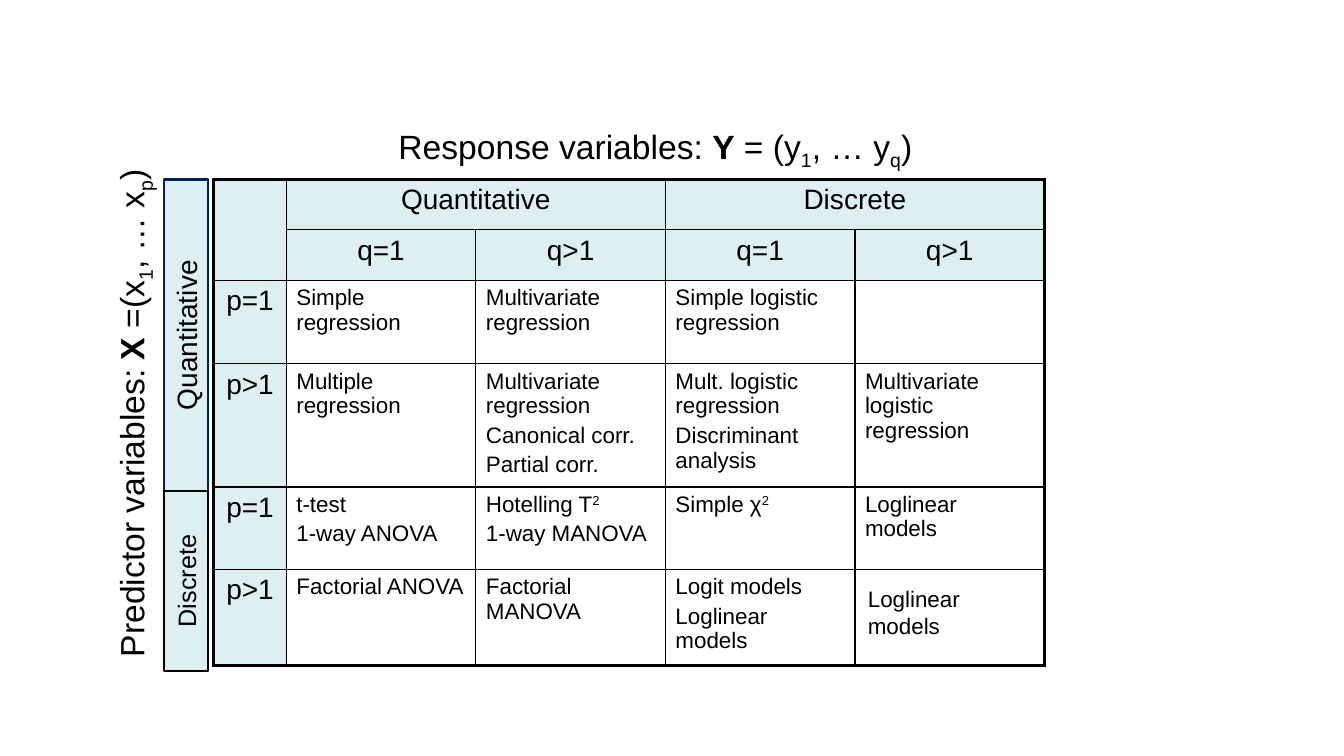
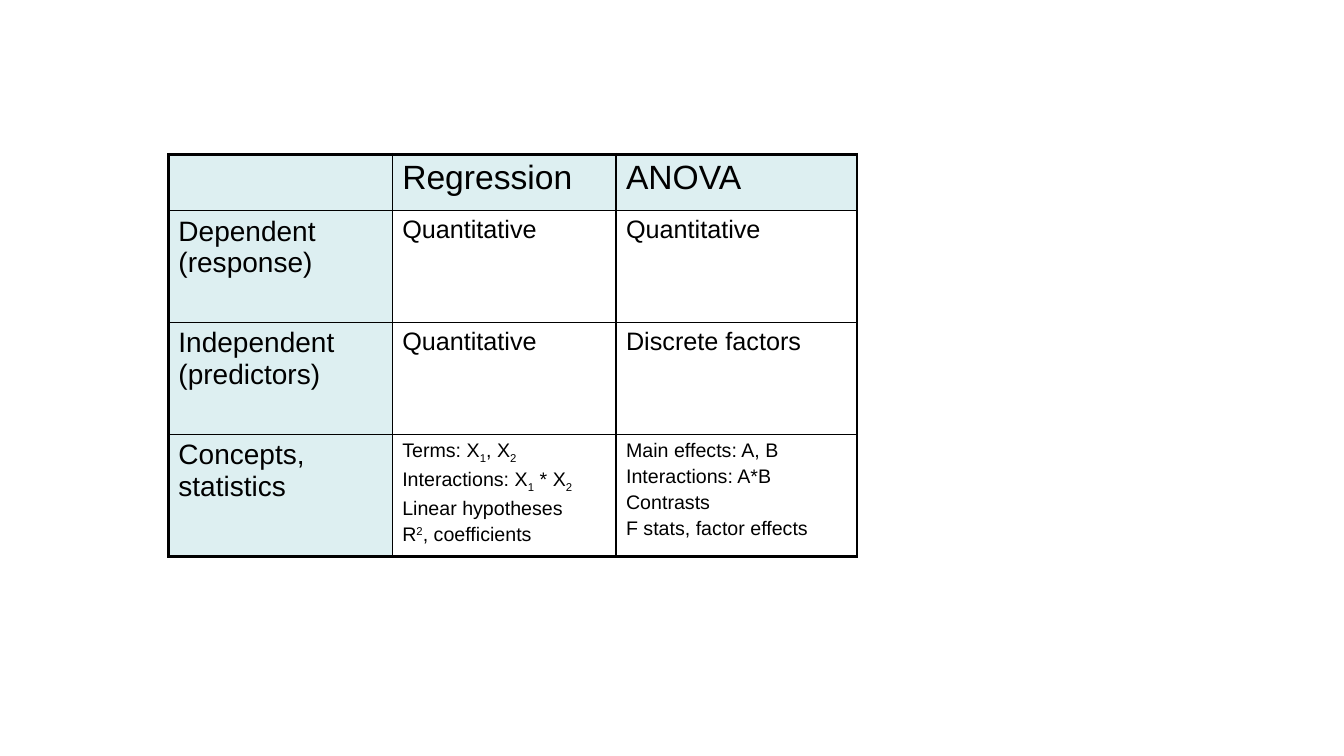
"""Build two slides that compare statistical models by variable type."""
import pptx
import pptx.dml.color
import pptx.enum.shapes
import pptx.enum.text
import pptx.oxml
import pptx.oxml.ns
import pptx.util

Inches = pptx.util.Inches
Pt = pptx.util.Pt
Align = pptx.enum.text.PP_ALIGN

FONT = "Arial"
BLACK = "000000"
NAVY = "002060"
TINT = "DDEFF1"
OUTER, MIDDLE, INNER = 2.25, 1.5, 1
BASELINES = {"sub": "-25000", "super": "30000"}


def color(value):
    """Turn a hex string into a colour."""
    return pptx.dml.color.RGBColor.from_string(value)


def write(frame, lines, size, align=Align.LEFT):
    """Fill a text frame; a line is a string or a list of strings and (text, style) runs."""
    for index, line in enumerate(lines):
        para = frame.paragraphs[0] if index == 0 else frame.add_paragraph()
        para.alignment = align
        if index:
            para.space_before = Pt(size * 0.2)
        for part in [line] if isinstance(line, str) else line:
            text, style = (part, "") if isinstance(part, str) else part
            span = para.add_run()
            span.text = text
            span.font.name = FONT
            span.font.size = Pt(size)
            span.font.bold = style == "bold"
            span.font.color.rgb = color(BLACK)
            if style in BASELINES:
                span.font._element.set("baseline", BASELINES[style])


def add_label(slide, place, lines, size, align=Align.CENTER, rotation=0, wrap=False):
    """Add a text box."""
    box = slide.shapes.add_textbox(*map(Inches, place))
    box.rotation = rotation
    box.text_frame.word_wrap = wrap
    write(box.text_frame, lines, size, align)


def add_band(slide, place, text, size, line):
    """Add a tinted rectangle whose text reads upwards."""
    kind = pptx.enum.shapes.MSO_SHAPE.RECTANGLE
    band = slide.shapes.add_shape(kind, *map(Inches, place))
    band.rotation = 270
    band.shadow.inherit = False
    band.fill.solid()
    band.fill.fore_color.rgb = color(TINT)
    band.line.color.rgb = color(line)
    band.line.width = Pt(MIDDLE)
    band.text_frame.word_wrap = True
    write(band.text_frame, [text], size, Align.CENTER)


def set_borders(cell, widths):
    """Draw the left, right, top and bottom borders of a cell."""
    properties = cell._tc.get_or_add_tcPr()
    namespace = pptx.oxml.ns.nsdecls("a")
    for index, (side, width) in enumerate(zip("LRTB", widths)):
        properties.insert(index, pptx.oxml.parse_xml(
            f'<a:ln{side} {namespace} w="{Pt(width)}"><a:solidFill>'
            f'<a:srgbClr val="{BLACK}"/></a:solidFill></a:ln{side}>'))


def add_grid(slide, corner, columns, rows, headers, merges=(), thick_column=None, thick_row=None):
    """Add an empty bordered table with tinted header rows and first column."""
    size = (sum(columns), sum(rows))
    frame = slide.shapes.add_table(len(rows), len(columns), *map(Inches, corner + size))
    table = frame.table
    table.first_row = table.horz_banding = False
    for column, width in zip(table.columns, columns):
        column.width = Inches(width)
    for row, height in zip(table.rows, rows):
        row.height = Inches(height)
    for first, last in merges:
        table.cell(*first).merge(table.cell(*last))

    def edge(index, count, thick):
        return OUTER if index in (0, count) else MIDDLE if index == thick else INNER

    for r in range(len(rows)):
        for c in range(len(columns)):
            cell = table.cell(r, c)
            if cell.is_spanned:
                continue
            if r < headers or c == 0:
                cell.fill.solid()
                cell.fill.fore_color.rgb = color(TINT)
            else:
                cell.fill.background()
            right = c + (cell.span_width if cell.is_merge_origin else 1)
            bottom = r + (cell.span_height if cell.is_merge_origin else 1)
            set_borders(cell, [edge(i, len(columns), thick_column) for i in (c, right)]
                        + [edge(i, len(rows), thick_row) for i in (r, bottom)])
    return table


def fill_rows(table, start, rows, size, align=Align.LEFT):
    """Write rows of cells, each a list of lines, from a starting cell."""
    for r, row in enumerate(rows, start[0]):
        for c, lines in enumerate(row, start[1]):
            if lines:
                write(table.cell(r, c).text_frame, lines, size, align)


def variables(intro, name, opening, letter, last):
    """Compose the runs that define a vector of variables."""
    return [intro, (name, "bold"), f"{opening}({letter}", ("1", "sub"),
            f", … {letter}", (last, "sub"), ")"]


def build_model_slide(slide):
    """Lay out the models by predictor and response type."""
    table = add_grid(slide, (2.12, 1.78), [0.72] + [1.88] * 4,
                     [0.5, 0.5, 0.83, 1.22, 0.82, 0.95], 2,
                     [((0, 0), (1, 0)), ((0, 1), (0, 2)), ((0, 3), (0, 4))], 3, 4)
    fill_rows(table, (0, 1), [
        [["Quantitative"], [], ["Discrete"], []],
        [["q=1"], ["q>1"]] * 2], 20, Align.CENTER)
    fill_rows(table, (2, 0), [[["p=1"]], [["p>1"]]] * 2, 20, Align.CENTER)
    fill_rows(table, (2, 1), [
        [["Simple regression"], ["Multivariate regression"],
         ["Simple logistic regression"], []],
        [["Multiple regression"],
         ["Multivariate regression", "Canonical corr.", "Partial corr."],
         ["Mult. logistic regression", "Discriminant analysis"],
         ["Multivariate logistic regression"]],
        [["t-test", "1-way ANOVA"],
         [["Hotelling T", ("2", "super")], "1-way MANOVA"],
         [["Simple χ", ("2", "super")]], ["Loglinear models"]],
        [["Factorial ANOVA"], ["Factorial MANOVA"],
         ["Logit models", "Loglinear models"], []]], 16)
    add_band(slide, (0.3, 3.11, 3.09, 0.43), "Quantitative", 20, NAVY)
    add_band(slide, (0.95, 5.55, 1.79, 0.43), "Discrete", 18, BLACK)
    add_label(slide, (-1.26, 3.85, 5.12, 0.5),
              [variables("Predictor variables: ", "X", " =", "x", "p")], 24, rotation=270)
    add_label(slide, (3.81, 1.2, 5.38, 0.5),
              [variables("Response variables: ", "Y", " = ", "y", "q")], 24)
    add_label(slide, (8.51, 5.76, 1.76, 0.64), ["Loglinear models"], 16, Align.LEFT, wrap=True)


def build_comparison_slide(slide):
    """Set regression beside ANOVA."""
    table = add_grid(slide, (1.67, 1.53), [2.22, 2.22, 2.39], [0.56, 1.11, 1.11, 1.21], 1)
    fill_rows(table, (0, 1), [[["Regression"], ["ANOVA"]]], 24)
    fill_rows(table, (1, 0), [[["Dependent (response)"]], [["Independent (predictors)"]],
                              [["Concepts, statistics"]]], 20)
    fill_rows(table, (1, 1), [[["Quantitative"], ["Quantitative"]],
                              [["Quantitative"], ["Discrete factors"]]], 18)
    one, two = ("1", "sub"), ("2", "sub")
    fill_rows(table, (3, 1), [[
        [["Terms: X", one, ", X", two], ["Interactions: X", one, " * X", two],
         "Linear hypotheses", ["R", ("2", "super"), ", coefficients"]],
        ["Main effects: A, B", "Interactions: A*B", "Contrasts",
         "F stats, factor effects"]]], 14)


def main():
    """Build and save the deck."""
    deck = pptx.Presentation()
    deck.slide_width, deck.slide_height = Inches(13.33), Inches(7.5)
    for build in (build_model_slide, build_comparison_slide):
        build(deck.slides.add_slide(deck.slide_layouts[6]))
    deck.save("out.pptx")


if __name__ == "__main__":
    main()
